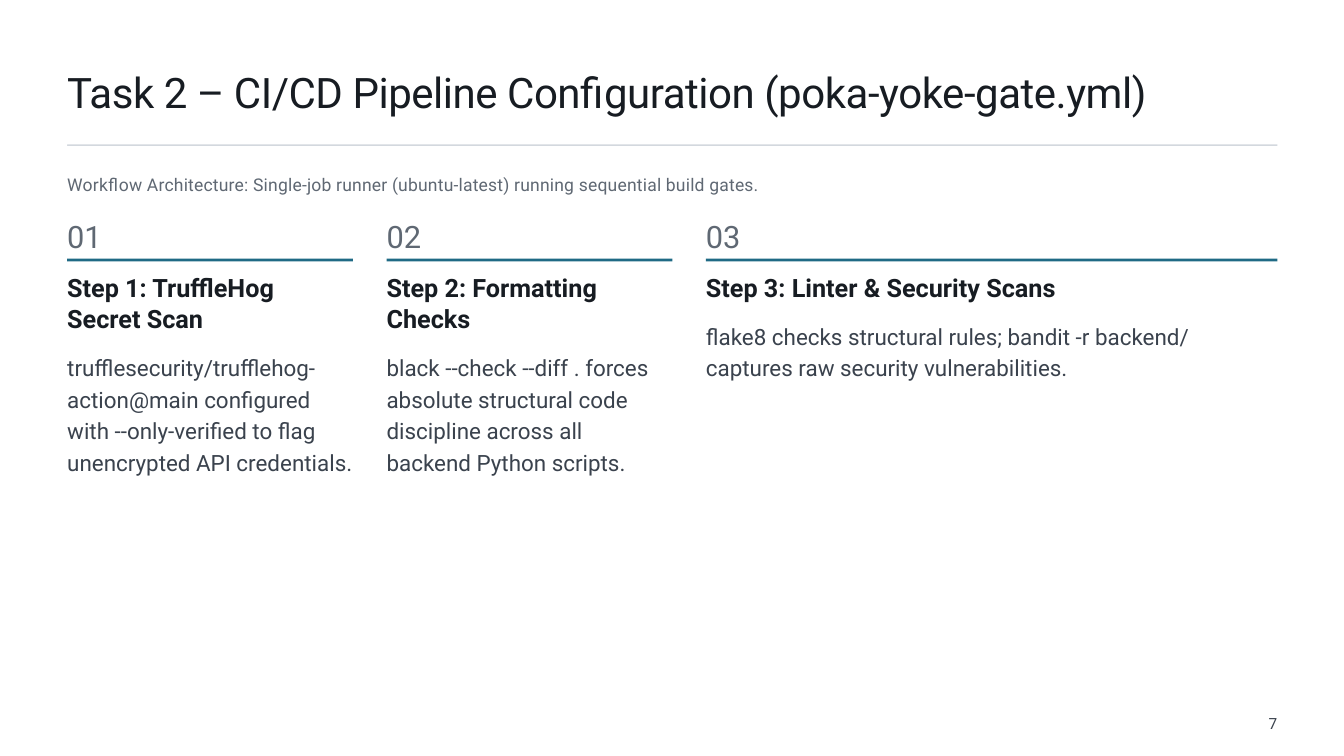
"""Build the slide on the pipeline's three build gates."""
from pptx import Presentation
from pptx import util as u
from pptx.dml.color import RGBColor
from pptx.enum import shapes, text

WIDE, HIGH = 20, 11.25
EDGE, SPAN, GAP = 1, 18.01, 0.5
FACE = "Roboto"
INK = RGBColor(0x17, 0x1C, 0x22)
BODY = RGBColor(0x3A, 0x42, 0x4D)
MUTE = RGBColor(0x5F, 0x68, 0x73)
RULE = RGBColor(0xD3, 0xD8, 0xDE)
TEAL = RGBColor(0x1F, 0x6A, 0x85)
WHITE = RGBColor(0xFF, 0xFF, 0xFF)

STEPS = [
    (1, 2, "Step 1: TruffleHog Secret Scan",
     "trufflesecurity/trufflehog-action@main configured with --only-verified "
     "to flag unencrypted API credentials."),
    (1, 2, "Step 2: Formatting Checks",
     "black --check --diff . forces absolute structural code discipline "
     "across all backend Python scripts."),
    (2, 1, "Step 3: Linter & Security Scans",
     "flake8 checks structural rules; bandit -r backend/ captures raw "
     "security vulnerabilities."),
]


def add_text(slide, box, words, size, lead, color, bold=False, track=0):
    """Add a text box without margins and return its frame."""
    frame = slide.shapes.add_textbox(*map(u.Inches, box)).text_frame
    frame.margin_left = frame.margin_top = 0
    frame.margin_right = frame.margin_bottom = 0
    frame.word_wrap = True
    para = frame.paragraphs[0]
    para.text = words
    para.line_spacing = u.Pt(lead)
    font = para.font
    font.name, font.size, font.bold = FACE, u.Pt(size), bold
    font.color.rgb = color
    if track:
        para.runs[0]._r.get_or_add_rPr().set("spc", str(track))
    return frame


def add_bar(slide, box, color, kind=shapes.MSO_SHAPE.RECTANGLE):
    """Add a thin filled bar."""
    bar = slide.shapes.add_shape(kind, *map(u.Inches, box))
    bar.shadow.inherit = False
    bar.fill.solid()
    bar.fill.fore_color.rgb = color
    bar.line.fill.background()


def add_step(slide, num, left, wide, lines, head, body):
    """Add one numbered step, its body set below the lines of its heading."""
    top, line = 4.03, 0.47
    add_text(slide, (left, 3.33, 1.6, 0.39), f"{num:02}", 33, 32.9, MUTE)
    add_bar(slide, (left, 3.85, wide, 0.04), TEAL)
    add_text(slide, (left, top, wide, lines * line), head, 27, 33.7, INK, True)
    low = top + (lines + 0.5) * line
    add_text(slide, (left, low, wide, 2), body, 24, 33.7, BODY)


def main():
    """Build and save the deck."""
    deck = Presentation()
    deck.slide_width, deck.slide_height = u.Inches(WIDE), u.Inches(HIGH)
    slide = deck.slides.add_slide(deck.slide_layouts[6])
    slide.background.fill.solid()
    slide.background.fill.fore_color.rgb = WHITE

    add_text(slide, (EDGE, 1.04, SPAN, 0.66),
             "Task 2 – CI/CD Pipeline Configuration (poka-yoke-gate.yml)",
             45, 50.2, INK, track=-50)
    add_bar(slide, (EDGE, 2.15, SPAN, 0.02), RULE,
            shapes.MSO_SHAPE.ROUNDED_RECTANGLE)
    add_text(slide, (EDGE, 2.57, SPAN, 0.36),
             "Workflow Architecture: Single-job runner (ubuntu-latest) "
             "running sequential build gates.", 18.8, 24.3, MUTE, track=20)

    shares = sum(step[0] for step in STEPS)
    unit = (SPAN - GAP * (len(STEPS) - 1)) / shares
    left = EDGE
    for num, (share, lines, head, body) in enumerate(STEPS, 1):
        add_step(slide, num, left, share * unit, lines, head, body)
        left += share * unit + GAP

    page = add_text(slide, (18.88, 10.57, 1.12, 0.35), "7", 16.5, 23.2, BODY)
    page.vertical_anchor = text.MSO_ANCHOR.MIDDLE
    deck.save("out.pptx")


if __name__ == "__main__":
    main()
